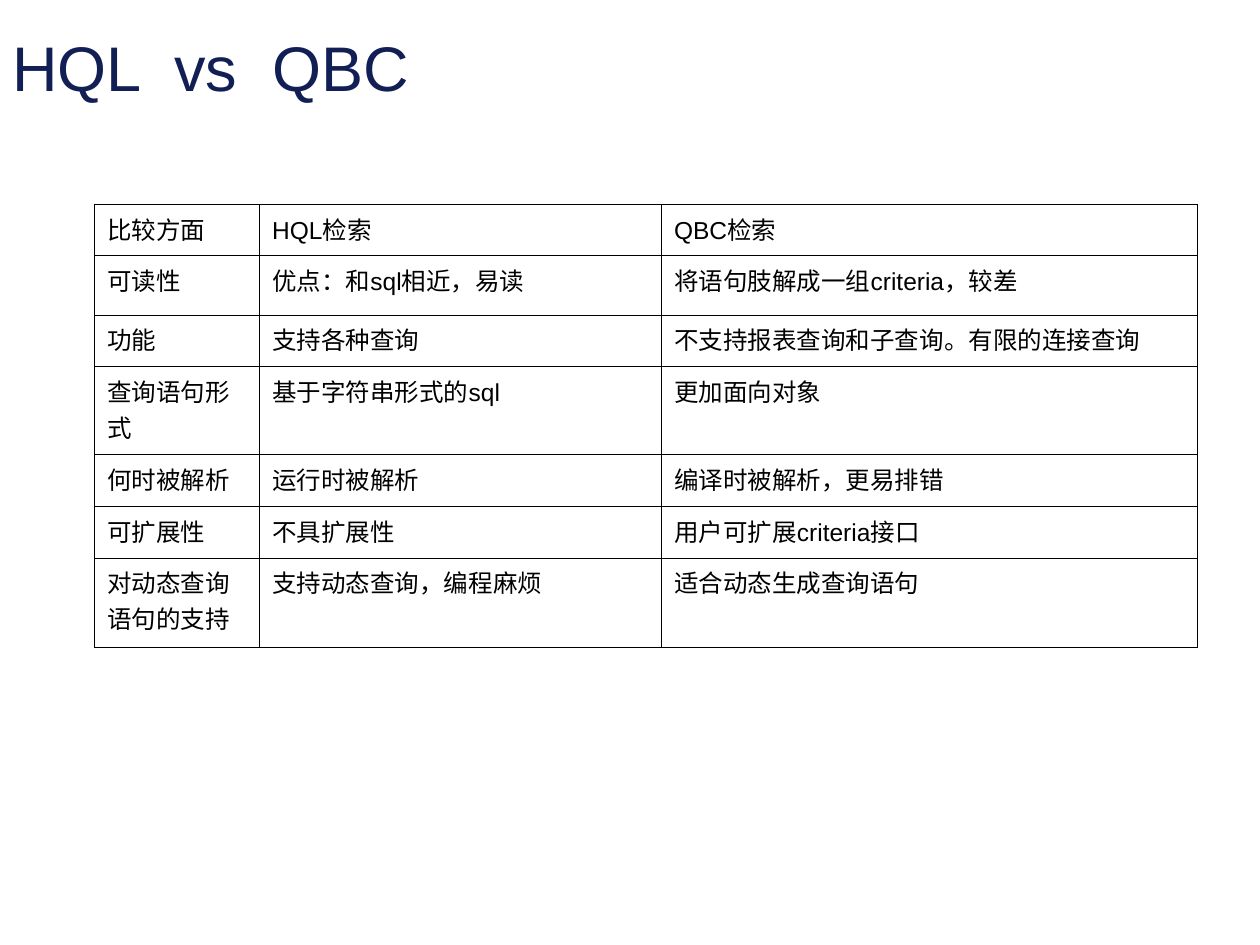
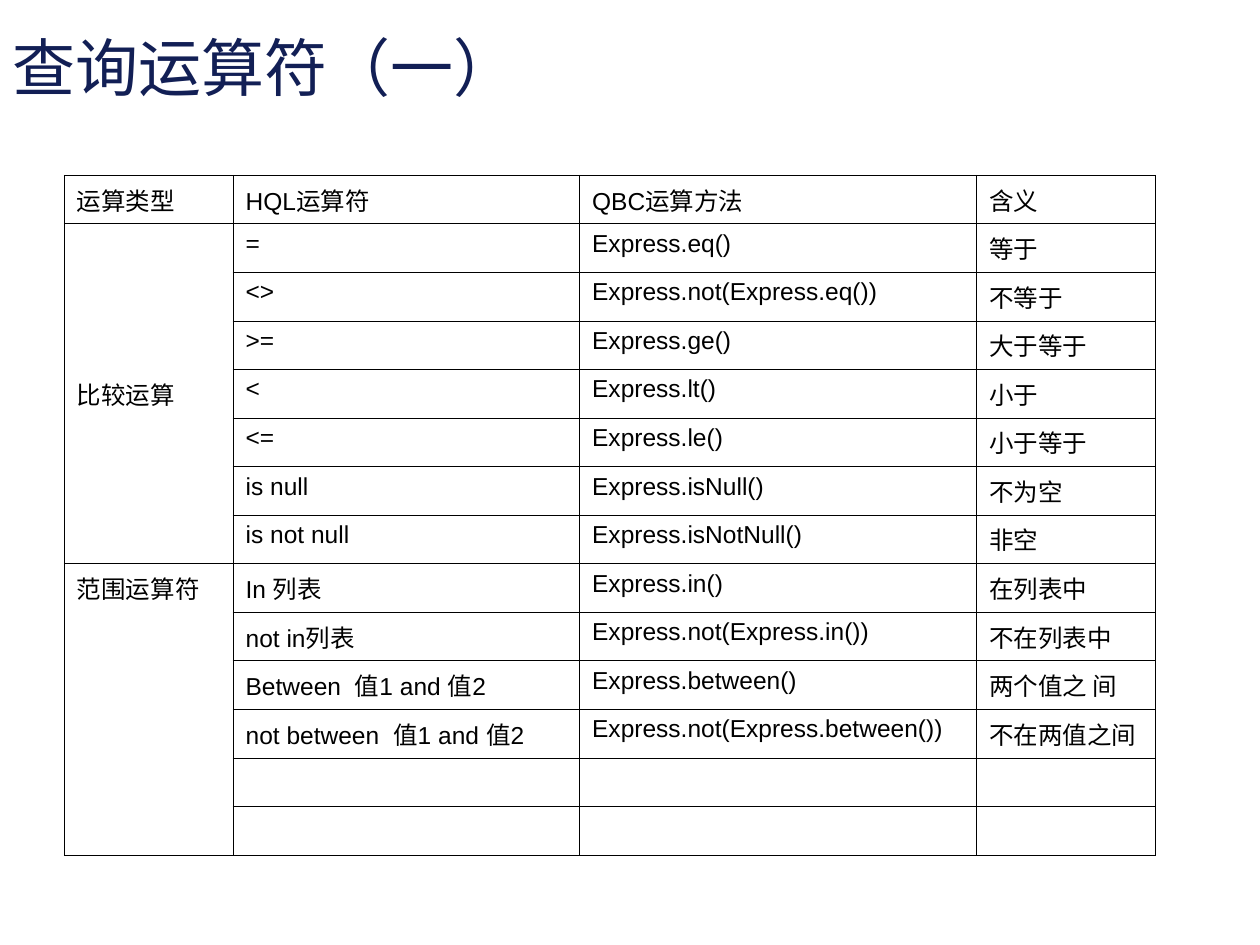
from lxml import etree
from pptx import Presentation
from pptx import util as u
from pptx.dml.color import RGBColor
from pptx.enum import text
from pptx.oxml.ns import qn

FONT, NAVY, BLACK = "Arial", "121F55", "000000"
BORDER_PT = 0.45

COMPARISON = [
    ("比较方面", "HQL检索", "QBC检索"),
    ("可读性", "优点：和sql相近，易读", "将语句肢解成一组criteria，较差"),
    ("功能", "支持各种查询", "不支持报表查询和子查询。有限的连接查询"),
    ("查询语句形式", "基于字符串形式的sql", "更加面向对象"),
    ("何时被解析", "运行时被解析", "编译时被解析，更易排错"),
    ("可扩展性", "不具扩展性", "用户可扩展criteria接口"),
    ("对动态查询语句的支持", "支持动态查询，编程麻烦", "适合动态生成查询语句"),
]

OPERATOR_HEADER = ("运算类型", "HQL运算符", "QBC运算方法", "含义")
# Group name, vertical anchor, rows of the group
OPERATOR_GROUPS = [
    ("比较运算", text.MSO_ANCHOR.MIDDLE, [
        ("=", "Express.eq()", "等于"),
        ("<>", "Express.not(Express.eq())", "不等于"),
        (">=", "Express.ge()", "大于等于"),
        ("<", "Express.lt()", "小于"),
        ("<=", "Express.le()", "小于等于"),
        ("is null", "Express.isNull()", "不为空"),
        ("is not null", "Express.isNotNull()", "非空"),
    ]),
    ("范围运算符", text.MSO_ANCHOR.TOP, [
        ("In 列表", "Express.in()", "在列表中"),
        ("not in列表", "Express.not(Express.in())", "不在列表中"),
        ("Between  值1 and 值2", "Express.between()", "两个值之 间"),
        ("not between  值1 and 值2", "Express.not(Express.between())", "不在两值之间"),
        ("", "", ""),
        ("", "", ""),
    ]),
]


def rgb(value):
    return RGBColor.from_string(value)


def style(p, size, color):
    p.font.size = u.Pt(size)
    p.font.name = FONT
    p.font.color.rgb = rgb(color)


def add_titled_slide(prs, title):
    s = prs.slides.add_slide(prs.slide_layouts[6])
    box = s.shapes.add_textbox(0, u.Inches(0.13), prs.slide_width, u.Inches(0.79))
    tf = box.text_frame
    tf.word_wrap = True
    tf.vertical_anchor = text.MSO_ANCHOR.MIDDLE
    tf.text = title
    style(tf.paragraphs[0], 36, NAVY)
    return s


def add_borders(cell):
    tc_pr = cell._tc.get_or_add_tcPr()
    for i, side in enumerate(("lnL", "lnR", "lnT", "lnB")):
        ln = etree.Element(qn(f"a:{side}"), w=str(u.Pt(BORDER_PT)))
        fill = etree.SubElement(ln, qn("a:solidFill"))
        etree.SubElement(fill, qn("a:srgbClr"), val=BLACK)
        tc_pr.insert(i, ln)


def add_grid(s, left, top, widths, heights, rows):
    frame = s.shapes.add_table(len(rows), len(widths), u.Inches(left), u.Inches(top),
                               u.Inches(sum(widths)), u.Inches(sum(heights)))
    table = frame.table
    table.first_row = table.horz_banding = False
    for column, width in zip(table.columns, widths):
        column.width = u.Inches(width)
    for row, height, values in zip(table.rows, heights, rows):
        row.height = u.Inches(height)
        for cell, value in zip(row.cells, values):
            cell.text = value
            style(cell.text_frame.paragraphs[0], 14, BLACK)
            cell.fill.background()
            add_borders(cell)
    return table


def build_comparison(prs):
    s = add_titled_slide(prs, "HQL  vs  QBC")
    add_grid(s, 0.75, 1.62, [1.31, 3.19, 4.25],
             [0.41, 0.47, 0.41, 0.7, 0.41, 0.41, 0.71], COMPARISON)


def build_operators(prs):
    s = add_titled_slide(prs, "查询运算符（一）")
    rows = [OPERATOR_HEADER]
    for name, _, members in OPERATOR_GROUPS:
        rows += [(name if i == 0 else "", *m) for i, m in enumerate(members)]
    table = add_grid(s, 0.51, 1.39, [1.34, 2.75, 3.15, 1.42],
                     [5.4 / len(rows)] * len(rows), rows)
    table.cell(1, 3).text_frame.paragraphs[0].font.name = "Times New Roman"

    # Each group name spans the rows of its group
    first = 1
    for _, anchor, members in OPERATOR_GROUPS:
        last = first + len(members) - 1
        cell = table.cell(first, 0)
        cell.merge(table.cell(last, 0))
        cell.vertical_anchor = anchor
        first = last + 1


def main():
    prs = Presentation()
    prs.slide_width, prs.slide_height = u.Inches(10), u.Inches(7.5)
    build_comparison(prs)
    build_operators(prs)
    prs.save("out.pptx")


if __name__ == "__main__":
    main()
